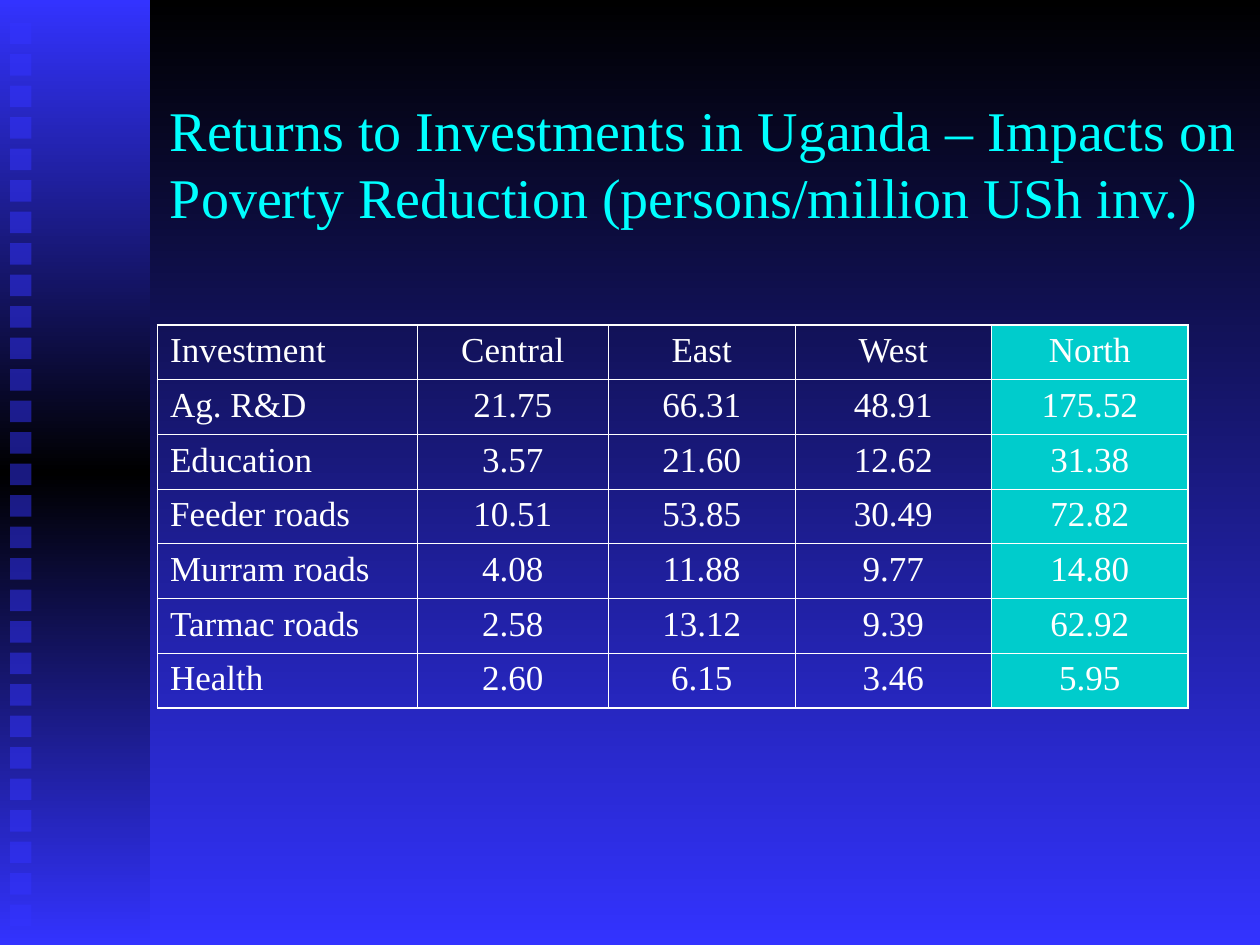
from dataclasses import dataclass

from lxml import etree
from pptx import Presentation, dml, oxml, util as u
from pptx.dml import color
from pptx.enum import shapes, text
from pptx.oxml import ns


@dataclass(frozen=True)
class Theme:
    font: str = "Times New Roman"
    blue: str = "3333FF"
    black: str = "000000"
    title: str = "00FFFF"
    body: str = "FFFFFF"
    highlight: str = "00CCCC"
    title_size: int = 32
    body_size: int = 20
    inner_line: float = 0.45
    outer_line: float = 1.08


@dataclass(frozen=True)
class Box:
    left: float
    top: float
    width: float
    height: float

    def lengths(self) -> tuple:
        return tuple(u.Inches(v) for v in (self.left, self.top, self.width, self.height))


@dataclass(frozen=True)
class Column:
    heading: str
    width: float
    values: tuple
    centered: bool = True
    highlighted: bool = False


THEME = Theme()
SIDEBAR = Box(0, 0, 1.19, 7.5)
TITLE = Box(1.25, 0.33, 8.75, 1.92)
SQUARES = [Box(0.08, 0.18 + 0.25 * i, 0.17, 0.17) for i in range(29)]
ROW_HEIGHT = 0.43
COLUMNS = (
    Column("Investment", 2.06, ("Ag. R&D", "Education", "Feeder roads", "Murram roads",
                                "Tarmac roads", "Health"), centered=False),
    Column("Central", 1.52, ("21.75", "3.57", "10.51", "4.08", "2.58", "2.60")),
    Column("East", 1.48, ("66.31", "21.60", "53.85", "11.88", "13.12", "6.15")),
    Column("West", 1.56, ("48.91", "12.62", "30.49", "9.77", "9.39", "3.46")),
    Column("North", 1.56, ("175.52", "31.38", "72.82", "14.80", "62.92", "5.95"),
           highlighted=True),
)


def rgb(value: str) -> color.RGBColor:
    return color.RGBColor.from_string(value)


def add_element(parent, tag: str, **attributes: str):
    return etree.SubElement(parent, ns.qn(tag), attributes)


def paint_gradient(fill, element, colors: tuple) -> None:
    fill.gradient()
    fill.gradient_angle = 270
    stops = element.find(".//" + ns.qn("a:gsLst"))
    for stop in list(stops):
        stops.remove(stop)
    for index, value in enumerate(colors):
        stop = add_element(stops, "a:gs", pos=str(index * 100000 // (len(colors) - 1)))
        add_element(stop, "a:srgbClr", val=value)


def add_rectangle(group, box: Box):
    shape = group.shapes.add_shape(shapes.MSO_SHAPE.RECTANGLE, *box.lengths())
    shape.shadow.inherit = False
    shape.line.fill.background()
    return shape


def draw_sidebar(slide) -> None:
    group = slide.shapes.add_group_shape()
    band = add_rectangle(group, SIDEBAR)
    paint_gradient(band.fill, band.element, (THEME.blue, THEME.black, THEME.blue))
    for box in SQUARES:
        square = add_rectangle(group, box)
        square.fill.solid()
        square.fill.fore_color.rgb = rgb(THEME.blue)
        solid = square.element.spPr.find(ns.qn("a:solidFill"))
        add_element(solid[0], "a:alpha", val="50000")


def write_text(frame, content: str, *, size: int, ink: str, centered: bool = False) -> None:
    paragraph = frame.paragraphs[0]
    paragraph.alignment = text.PP_ALIGN.CENTER if centered else text.PP_ALIGN.LEFT
    run = paragraph.add_run()
    run.text = content
    run.font.name = THEME.font
    run.font.size = u.Pt(size)
    run.font.color.rgb = rgb(ink)


def draw_title(slide, content: str) -> None:
    frame = slide.shapes.add_textbox(*TITLE.lengths()).text_frame
    frame.word_wrap = True
    frame.vertical_anchor = text.MSO_ANCHOR.MIDDLE
    write_text(frame, content, size=THEME.title_size, ink=THEME.title)


def set_borders(cell, outer_sides: dict) -> None:
    properties = cell._tc.get_or_add_tcPr()
    for index, (side, is_outer) in enumerate(outer_sides.items()):
        width = u.Pt(THEME.outer_line if is_outer else THEME.inner_line)
        line = add_element(properties, f"a:ln{side}", w=str(int(width)))
        add_element(add_element(line, "a:solidFill"), "a:srgbClr", val=THEME.body)
        properties.insert(index, line)


def draw_table(slide, columns: tuple) -> None:
    row_count = len(columns[0].values) + 1
    box = Box(1.25, 2.58, sum(c.width for c in columns), ROW_HEIGHT * row_count)
    table = slide.shapes.add_table(row_count, len(columns), *box.lengths()).table
    table.first_row = table.horz_banding = False
    for x, column in enumerate(columns):
        table.columns[x].width = u.Inches(column.width)
        for y, content in enumerate((column.heading, *column.values)):
            cell = table.cell(y, x)
            write_text(cell.text_frame, content, size=THEME.body_size,
                       ink=THEME.body, centered=column.centered)
            if column.highlighted:
                cell.fill.solid()
                cell.fill.fore_color.rgb = rgb(THEME.highlight)
            else:
                cell.fill.background()
            set_borders(cell, {"L": x == 0, "R": x == len(columns) - 1,
                               "T": y == 0, "B": y == row_count - 1})


def main() -> None:
    presentation = Presentation()
    presentation.slide_width = u.Inches(10)
    presentation.slide_height = u.Inches(7.5)
    slide = presentation.slides.add_slide(presentation.slide_layouts[6])
    paint_gradient(slide.background.fill, slide.element, (THEME.black, THEME.blue))
    draw_sidebar(slide)
    draw_title(slide, "Returns to Investments in Uganda – Impacts on "
                      "Poverty Reduction (persons/million USh inv.)")
    draw_table(slide, COLUMNS)
    presentation.save("out.pptx")


if __name__ == "__main__":
    main()
